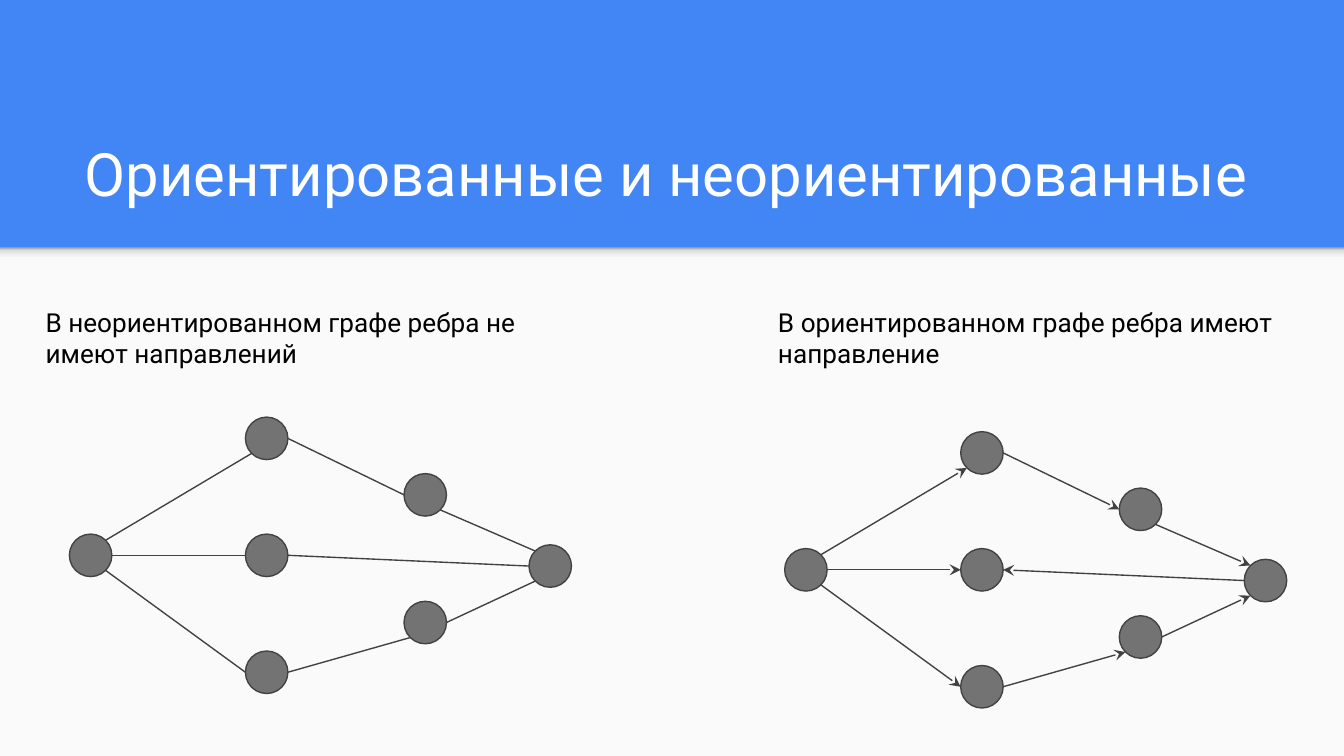
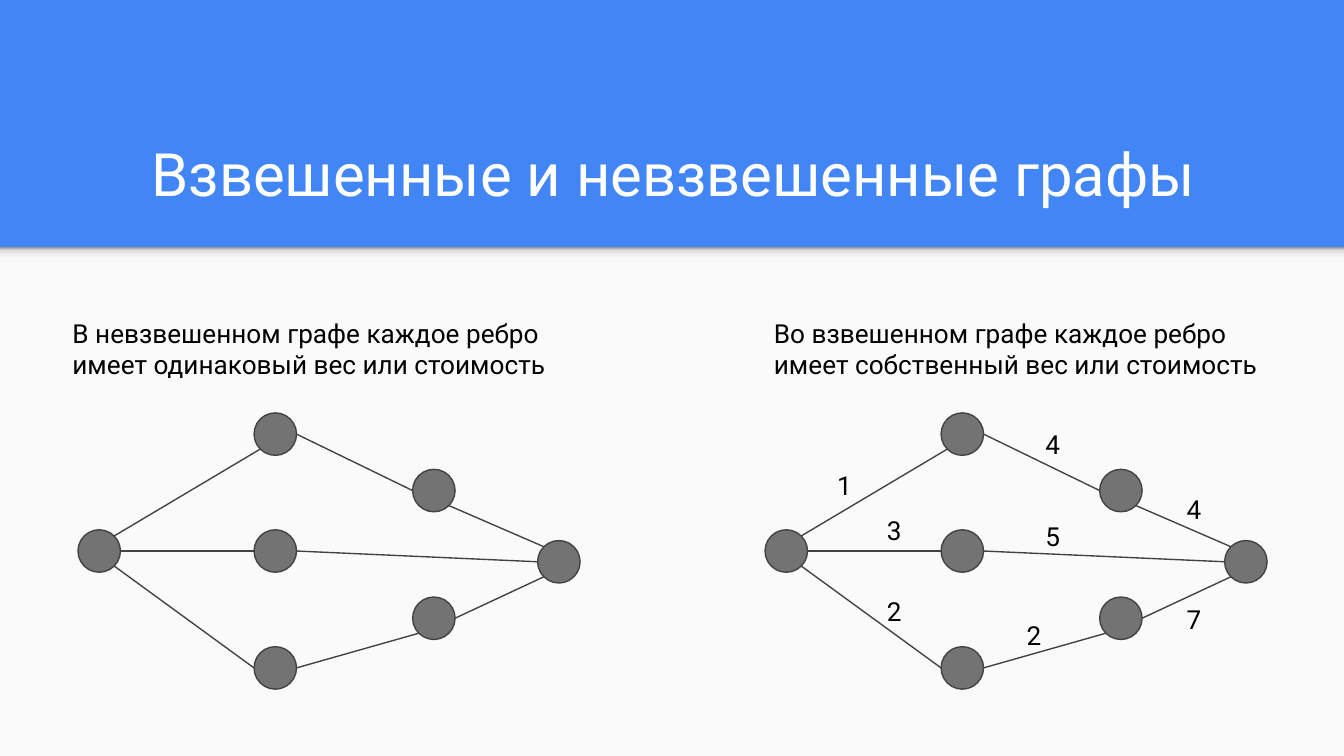
import pptx
import pptx.util
import pptx.dml.color
import pptx.enum.shapes
import pptx.enum.text
import pptx.oxml.ns
import pptx.oxml.xmlchemy

RGB = pptx.dml.color.RGBColor
SHAPE = pptx.enum.shapes.MSO_SHAPE
qn = pptx.oxml.ns.qn
new_element = pptx.oxml.xmlchemy.OxmlElement

BLUE = RGB(0x42, 0x85, 0xF4)
PAPER = RGB(0xFA, 0xFA, 0xFA)
NODE = RGB(0x73, 0x73, 0x73)
EDGE = RGB(0x42, 0x42, 0x42)
WHITE = RGB(0xFF, 0xFF, 0xFF)
BLACK = RGB(0, 0, 0)
SHADE_STOPS = [
    (0, RGB(0xF9, 0xF9, 0xF9)),
    (36, RGB(0xF9, 0xF9, 0xF9)),
    (80, RGB(0xDE, 0xDE, 0xDE)),
    (100, RGB(0x99, 0x99, 0x99)),
]

FONT = "Roboto"
COLS, ROWS = 100, 56.25
CELL = pptx.util.Inches(0.1)
BAND_ROWS = 18.4
TITLE_BOTTOM = 16.5
RADIUS = 1.58
DIAGONAL = 0.71

NODES = {
    "left": (0, 0),
    "top": (13.1, -8.7),
    "middle": (13.1, 0),
    "bottom": (13.1, 8.7),
    "upper": (24.9, -4.5),
    "lower": (24.9, 5),
    "right": (34.2, 0.8),
}
SITES = {
    "E": (1, 0),
    "W": (-1, 0),
    "NE": (DIAGONAL, -DIAGONAL),
    "NW": (-DIAGONAL, -DIAGONAL),
    "SE": (DIAGONAL, DIAGONAL),
    "SW": (-DIAGONAL, DIAGONAL),
}
EDGES = [
    ("left", "NE", "top", "SW", "tailEnd"),
    ("left", "SE", "bottom", "W", "tailEnd"),
    ("left", "E", "middle", "W", "tailEnd"),
    ("top", "E", "upper", "W", "tailEnd"),
    ("middle", "E", "right", "W", "headEnd"),
    ("bottom", "E", "lower", "SW", "tailEnd"),
    ("upper", "SE", "right", "NW", "tailEnd"),
    ("lower", "E", "right", "SW", "tailEnd"),
]
WEIGHTS = [
    ("1", 61.3, 33.9), ("3", 65, 37.3), ("2", 65, 43.3), ("2", 75.4, 45.1),
    ("7", 87.3, 43.9), ("4", 87.3, 35.7), ("4", 76.8, 30.9), ("5", 76.8, 37.7),
]


def grid(*cells):
    return [int(n * CELL) for n in cells]


def add_block(shapes, kind, *cells):
    sp = shapes.add_shape(kind, *grid(*cells))
    sp.shadow.inherit = False
    sp.line.fill.background()
    return sp


def style_master(prs, s):
    master = prs.slide_master
    master.background.fill.solid()
    master.background.fill.fore_color.rgb = BLUE

    panel = add_block(s.shapes, SHAPE.RECTANGLE, 0, BAND_ROWS, COLS, ROWS - BAND_ROWS)
    panel.fill.solid()
    panel.fill.fore_color.rgb = PAPER

    shade = add_block(s.shapes, SHAPE.RECTANGLE, 0, BAND_ROWS, COLS, 1.2)
    shade.fill.gradient()
    shade.fill.gradient_angle = 90
    stops = shade.element.find(".//" + qn("a:gsLst"))
    stops.clear()
    for share, color in SHADE_STOPS:
        gs = new_element("a:gs")
        gs.set("pos", str(share * 1000))
        clr = new_element("a:srgbClr")
        clr.set("val", str(color))
        gs.append(clr)
        stops.append(gs)

    for i, sp in enumerate((panel, shade)):
        master.shapes.element.insert(2 + i, sp.element)


def write(sp, text, size, color):
    tf = sp.text_frame
    tf.text = text
    tf.word_wrap = True
    tf.auto_size = pptx.enum.text.MSO_AUTO_SIZE.NONE
    tf.margin_left = tf.margin_right = tf.margin_top = tf.margin_bottom = CELL
    font = tf.paragraphs[0].font
    font.name = FONT
    font.size = pptx.util.Pt(size)
    font.color.rgb = color
    return tf


def add_title(s, text, rows):
    sp = s.shapes.title
    sp.left, sp.top, sp.width, sp.height = grid(5.2, TITLE_BOTTOM - rows, 89.9, rows)
    tf = write(sp, text, 32, WHITE)
    tf.vertical_anchor = pptx.enum.text.MSO_ANCHOR.BOTTOM
    tf.paragraphs[0].alignment = pptx.enum.text.PP_ALIGN.CENTER


def add_label(s, text, *cells):
    write(s.shapes.add_textbox(*grid(*cells)), text, 14, BLACK)


def outline(sp):
    sp.line.color.rgb = EDGE
    sp.line.width = pptx.util.Pt(0.75)


def add_edge(shapes, start, end, arrow=None):
    c = shapes.add_connector(
        pptx.enum.shapes.MSO_CONNECTOR.STRAIGHT, *grid(*start, *end))
    outline(c)
    if arrow:
        tip = new_element("a:" + arrow)
        tip.set("type", "stealth")
        c.element.find(".//" + qn("a:ln")).append(tip)
    c.element.spPr.append(new_element("a:effectLst"))


def add_graph(shapes, col, row, directed=False):
    def site(node, side):
        (x, y), (dx, dy) = NODES[node], SITES[side]
        return col + x + RADIUS * dx, row + y + RADIUS * dy

    for x, y in NODES.values():
        sp = add_block(shapes, SHAPE.OVAL, col + x - RADIUS, row + y - RADIUS,
                       2 * RADIUS, 2 * RADIUS)
        sp.fill.solid()
        sp.fill.fore_color.rgb = NODE
        outline(sp)
    for a, a_side, b, b_side, arrow in EDGES:
        add_edge(shapes, site(a, a_side), site(b, b_side), arrow if directed else None)


def add_grouped_graph(s, col, row):
    add_graph(s.shapes.add_group_shape().shapes, col, row)


def build_directions(s):
    add_title(s, "Ориентированные и неориентированные ", 10.4)
    add_grouped_graph(s, 6.74, 41.32)
    add_graph(s.shapes, 59.96, 42.4, directed=True)
    add_label(s, "В ориентированном графе ребра имеют направление",
              56.9, 21.8, 40.5, 6.8)
    add_label(s, "В неориентированном графе ребра не имеют направлений",
              2.4, 21.8, 40.5, 6.8)


def build_weights(s):
    add_title(s, "Взвешенные и невзвешенные графы", 8.4)
    add_grouped_graph(s, 58.5, 41)
    add_label(s, "Во взвешенном графе каждое ребро имеет собственный вес или стоимость",
              56.6, 22.6, 38.8, 6.1)
    for text, col, row in WEIGHTS:
        add_label(s, text, col, row, 2.9, 3.9)
    add_grouped_graph(s, 7.38, 41)
    add_label(s, "В невзвешенном графе каждое ребро имеет одинаковый вес или стоимость",
              4.4, 22.6, 38.8, 6.1)


def main():
    prs = pptx.Presentation()
    prs.slide_width, prs.slide_height = grid(COLS, ROWS)
    layout = prs.slide_layouts.get_by_name("Title Only")
    directions, weights = [prs.slides.add_slide(layout) for _ in range(2)]
    style_master(prs, directions)
    build_directions(directions)
    build_weights(weights)
    prs.save("out.pptx")


if __name__ == "__main__":
    main()
